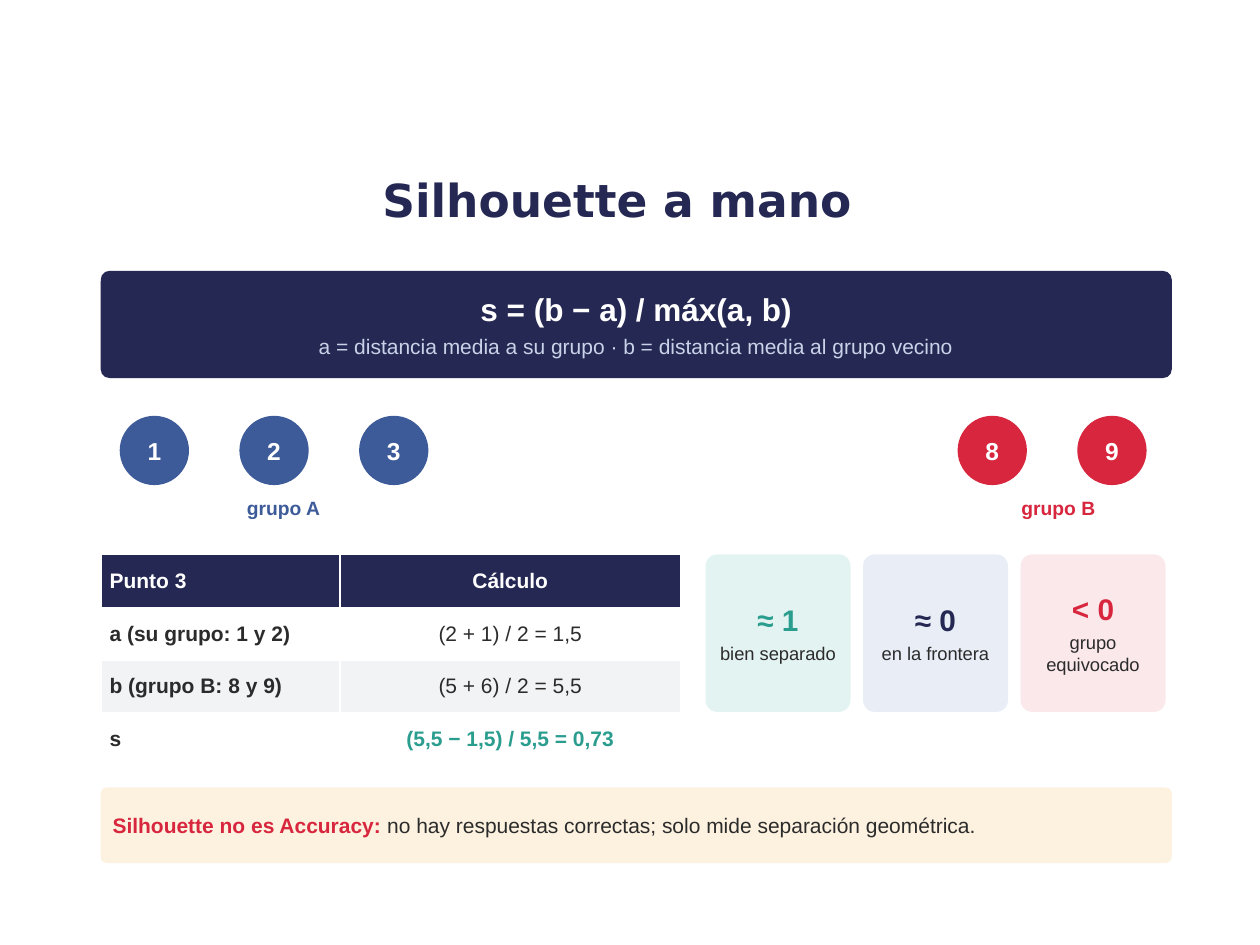
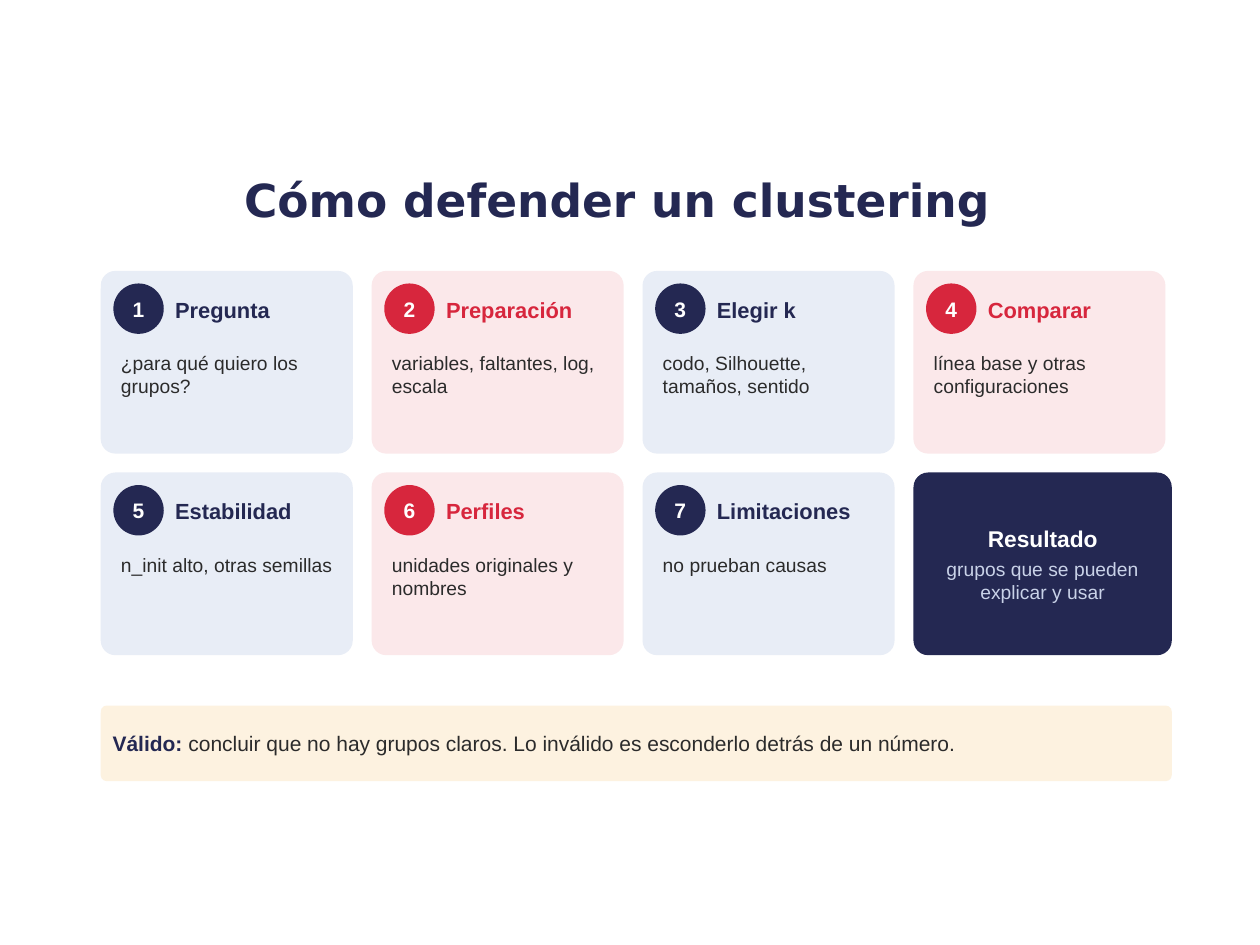
from pptx import Presentation
from pptx.dml.color import RGBColor
from pptx.enum.shapes import MSO_SHAPE as Shape
from pptx.enum.text import MSO_ANCHOR as Anchor, MSO_AUTO_SIZE as AutoSize, PP_ALIGN as Align
from pptx.util import Pt

COLORS = {
    "navy": "242852", "blue": "3D5A99", "red": "D7263D", "teal": "2A9D8F",
    "ink": "2B2B2B", "mist": "C9D2E8", "white": "FFFFFF", "stripe": "F2F3F5",
    "pale_blue": "E8EDF6", "pale_red": "FBE8EA", "pale_teal": "E3F3F1", "cream": "FDF2E0",
}
LEFT, TOP, WIDTH = 57.6, 154.8, 612


def write(frame, paragraphs, align=Align.LEFT, after=0, font="Arial"):
    """Fill a text frame; each paragraph is a list of (text, size, color, bold) runs."""
    for index, runs in enumerate(paragraphs):
        paragraph = frame.add_paragraph() if index else frame.paragraphs[0]
        paragraph.alignment = align
        paragraph.space_after = Pt(after)
        for text, size, color, bold in runs:
            run = paragraph.add_run()
            run.text = text
            run.font.name, run.font.size, run.font.bold = font, Pt(size), bold
            run.font.color.rgb = RGBColor.from_string(COLORS[color])


def add_box(slide, kind, box, fill=None, paragraphs=(), align=Align.CENTER, anchor=Anchor.MIDDLE):
    """Add a filled preset shape, or a growing text box when kind is None."""
    place = [Pt(value) for value in box]
    if kind is None:
        shape = slide.shapes.add_textbox(*place)
        inset, after = 2.88, 4
    else:
        shape = slide.shapes.add_shape(kind, *place)
        shape.shadow.inherit = False
        shape.fill.solid()
        shape.fill.fore_color.rgb = RGBColor.from_string(COLORS[fill])
        shape.line.fill.background()
        inset, after = (0 if kind == Shape.OVAL else 5.76), 3
        if kind == Shape.ROUNDED_RECTANGLE:
            shape.adjustments[0] = 0.08
    frame = shape.text_frame
    frame.word_wrap = True
    frame.auto_size = AutoSize.SHAPE_TO_FIT_TEXT if kind is None else AutoSize.NONE
    frame.vertical_anchor = anchor
    frame.margin_left = frame.margin_top = frame.margin_right = frame.margin_bottom = Pt(inset)
    write(frame, paragraphs, align, after)


prs = Presentation()
prs.slide_width, prs.slide_height = Pt(720), Pt(540)

# Title and closing note on both slides
pages = [
    ("Silhouette a mano", 450, "Silhouette no es Accuracy: ", "red",
     "no hay respuestas correctas; solo mide separación geométrica."),
    ("Cómo defender un clustering", 403.2, "Válido: ", "navy",
     "concluir que no hay grupos claros. Lo inválido es esconderlo detrás de un número."),
]
for heading, note_top, lead, lead_color, note in pages:
    slide = prs.slides.add_slide(prs.slide_layouts[5])
    title = slide.shapes.title
    title.left, title.top, title.width, title.height = Pt(54), Pt(84.96), Pt(597.6), Pt(57.6)
    title.text_frame.vertical_anchor = Anchor.MIDDLE
    title.text_frame.auto_size = AutoSize.NONE
    write(title.text_frame, [[(heading, 26, "navy", True)]], Align.CENTER, font="DejaVu Sans")
    add_box(slide, Shape.ROUNDED_RECTANGLE, (LEFT, note_top, WIDTH, 43.2), "cream",
            [[(lead, 12, lead_color, True), (note, 12, "ink", False)]], Align.LEFT)

silhouette, defense = prs.slides

# Slide 1: formula
add_box(silhouette, Shape.ROUNDED_RECTANGLE, (LEFT, TOP, WIDTH, 61.2), "navy", [
    [("s = (b − a) / máx(a, b)", 18, "white", True)],
    [("a = distancia media a su grupo · b = distancia media al grupo vecino", 12, "mist", False)],
])

# Points on a number line, one unit apart
UNIT = 68.4
groups = [("grupo A", "blue", (1, 2, 3), 187.2), ("grupo B", "red", (8, 9), 115.2)]
for group, color, points, label_width in groups:
    for point in points:
        add_box(silhouette, Shape.OVAL, (point * UNIT, 237.6, 39.6, 39.6), color,
                [[(str(point), 14, "white", True)]])
    add_box(silhouette, None, (points[0] * UNIT, 280.8, label_width, 25.2),
            paragraphs=[[(group, 11, color, True)]], anchor=Anchor.TOP)

# Worked calculation: label, value, fill, label color, value color, bold value
calculation = [
    ("Punto 3", "Cálculo", "navy", "white", "white", True),
    ("a (su grupo: 1 y 2)", "(2 + 1) / 2 = 1,5", "white", "ink", "ink", False),
    ("b (grupo B: 8 y 9)", "(5 + 6) / 2 = 5,5", "stripe", "ink", "ink", False),
    ("s", "(5,5 − 1,5) / 5,5 = 0,73", "white", "ink", "teal", True),
]
table = silhouette.shapes.add_table(
    len(calculation), 2, Pt(LEFT), Pt(316.8), Pt(331.2), Pt(120.96)).table
table.columns[0].width, table.columns[1].width = Pt(136.8), Pt(194.4)
for row, (label, value, fill, label_color, value_color, bold) in enumerate(calculation):
    table.rows[row].height = Pt(30.24)
    entries = [(label, label_color, True, Align.LEFT), (value, value_color, bold, Align.CENTER)]
    for column, (text, color, is_bold, align) in enumerate(entries):
        cell = table.cell(row, column)
        cell.fill.solid()
        cell.fill.fore_color.rgb = RGBColor.from_string(COLORS[fill])
        cell.vertical_anchor = Anchor.MIDDLE
        cell.margin_left = cell.margin_right = Pt(5.04)
        cell.margin_top = cell.margin_bottom = Pt(2.16)
        write(cell.text_frame, [[(text, 12, color, is_bold)]], align)

# Reading of the score
readings = [
    ("≈ 1", "bien separado", "teal", "pale_teal"),
    ("≈ 0", "en la frontera", "navy", "pale_blue"),
    ("< 0", "grupo equivocado", "red", "pale_red"),
]
for index, (score, meaning, color, fill) in enumerate(readings):
    add_box(silhouette, Shape.ROUNDED_RECTANGLE, (403.2 + index * 90, 316.8, 82.8, 90), fill,
            [[(score, 17, color, True)], [(meaning, 10.5, "ink", False)]])

# Slide 2: steps in a grid of four columns, the result in the last cell
CARD_W, CARD_H, GAP = 144, 104.4, 10.8
steps = [
    ("Pregunta", "¿para qué quiero los grupos?"),
    ("Preparación", "variables, faltantes, log, escala"),
    ("Elegir k", "codo, Silhouette, tamaños, sentido"),
    ("Comparar", "línea base y otras configuraciones"),
    ("Estabilidad", "n_init alto, otras semillas"),
    ("Perfiles", "unidades originales y nombres"),
    ("Limitaciones", "no prueban causas"),
]
for index, (step, detail) in enumerate(steps):
    x = LEFT + index % 4 * (CARD_W + GAP)
    y = TOP + index // 4 * (CARD_H + GAP)
    color, fill = ("red", "pale_red") if index % 2 else ("navy", "pale_blue")
    add_box(defense, Shape.ROUNDED_RECTANGLE, (x, y, CARD_W, CARD_H), fill)
    add_box(defense, Shape.OVAL, (x + 7.2, y + 7.2, 28.8, 28.8), color,
            [[(str(index + 1), 12, "white", True)]])
    add_box(defense, None, (x + 39.6, y + 5.76, 100.8, 32.4),
            paragraphs=[[(step, 12.5, color, True)]], align=Align.LEFT)
    add_box(defense, None, (x + 8.64, y + 43.2, 129.6, 57.6),
            paragraphs=[[(detail, 11, "ink", False)]], align=Align.LEFT, anchor=Anchor.TOP)

add_box(defense, Shape.ROUNDED_RECTANGLE,
        (LEFT + 3 * (CARD_W + GAP), TOP + CARD_H + GAP, 147.6, CARD_H), "navy", [
            [("Resultado", 13, "white", True)],
            [("grupos que se pueden explicar y usar", 11, "mist", False)],
        ])

prs.save("out.pptx")
